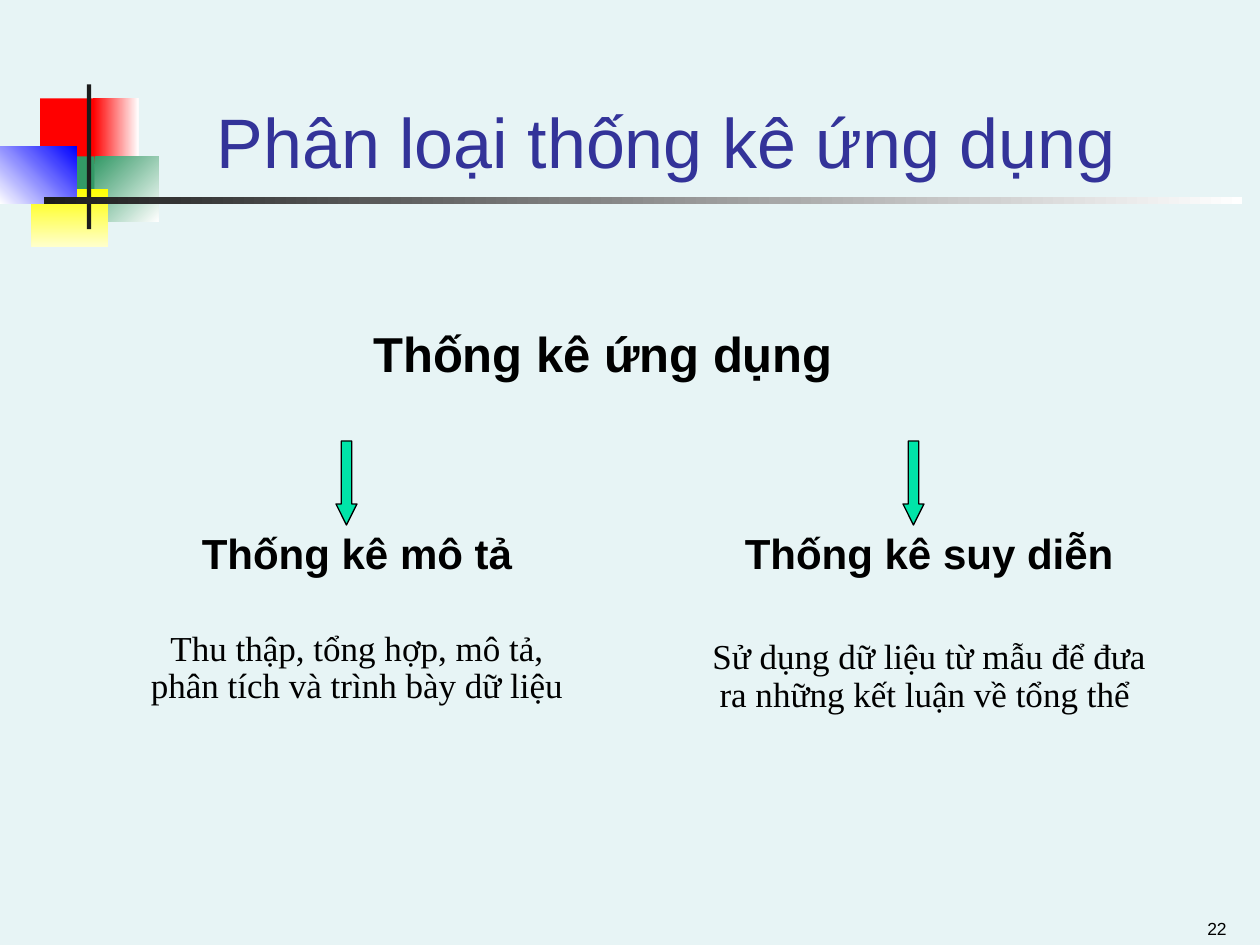
from dataclasses import dataclass
from pptx import Presentation
from pptx.dml.color import RGBColor
from pptx.enum.shapes import MSO_SHAPE
from pptx.enum.text import MSO_ANCHOR, PP_ALIGN
from pptx.slide import Slide
from pptx.util import Pt


def color(hex_value):
    return RGBColor.from_string(hex_value)


def assign(target, values):
    for name, value in values.items():
        setattr(target, name, value)


@dataclass
class SlideBuilder:
    slide: Slide
    sans: str = "Arial"
    serif: str = "Times New Roman"
    ink: str = "000000"
    accent: str = "333399"
    arrow_fill: str = "00E4A8"

    def background(self, shade):
        fill = self.slide.background.fill
        fill.solid()
        fill.fore_color.rgb = color(shade)

    def shape(self, preset, box):
        shape = self.slide.shapes.add_shape(preset, *map(Pt, box))
        shape.shadow.inherit = False
        return shape

    def block(self, box, shades, angle=0):
        block = self.shape(MSO_SHAPE.RECTANGLE, box)
        block.line.fill.background()
        if len(shades) == 1:
            block.fill.solid()
            block.fill.fore_color.rgb = color(shades[0])
            return
        block.fill.gradient()
        block.fill.gradient_angle = -angle % 360
        for stop, shade in zip(block.fill.gradient_stops, shades):
            stop.color.rgb = color(shade)

    def arrow(self, left):
        arrow = self.shape(MSO_SHAPE.DOWN_ARROW, (left, 252, 12, 48))
        arrow.adjustments[0], arrow.adjustments[1] = 0.5, 1
        arrow.fill.solid()
        arrow.fill.fore_color.rgb = color(self.arrow_fill)
        arrow.line.color.rgb = color(self.ink)
        arrow.line.width = Pt(0.75)

    def text(self, box, lines, anchor=MSO_ANCHOR.TOP, shade=None, **layout):
        frame = self.slide.shapes.add_textbox(*map(Pt, box)).text_frame
        assign(frame, {"word_wrap": True, "vertical_anchor": anchor})
        for index, (wording, font, gap) in enumerate(lines):
            paragraph = frame.add_paragraph() if index else frame.paragraphs[0]
            assign(paragraph, {"alignment": PP_ALIGN.CENTER, **layout})
            if gap:
                paragraph.space_before = Pt(gap)
            run = paragraph.add_run()
            run.text = wording
            assign(run.font, font)
            run.font.color.rgb = color(shade or self.ink)

    def branch(self, box, heading, description, gap):
        heading_font = {"name": self.sans, "size": Pt(24), "bold": True}
        description_font = {"name": self.serif, "size": Pt(20)}
        lines = [(heading, heading_font, 0), (description, description_font, gap)]
        self.text(box, lines, line_spacing=0.9)


def main():
    deck = Presentation()
    assign(deck, {"slide_width": Pt(720), "slide_height": Pt(540)})
    page = SlideBuilder(deck.slides.add_slide(deck.slide_layouts[6]))
    page.background("E7F4F5")

    emblem = [
        ((23, 56.2, 34.6, 37.4), ["FF0000"], 0),
        ((53.3, 56.2, 25.9, 37.4), ["FF0000", "FFFFFF"], 0),
        ((54, 89.3, 36.7, 37.4), ["339966", "FFFFFF"], 45),
        ((31, 89.3, 23, 37.4), ["339966"], 0),
        ((18, 108, 44, 33.1), ["FFFF00", "FFFFCC"], 90),
        ((0, 83.5, 44, 33.1), ["FFFFFF", "0000FF"], 315),
        ((49.7, 48.2, 2.4, 82.8), ["1C1C1C"], 0),
        ((25.2, 112.4, 684.7, 4.3), ["1C1C1C", "FFFFFF"], 0),
    ]
    for box, shades, angle in emblem:
        page.block(box, shades, angle)

    title_font = {"name": page.sans, "size": Pt(40)}
    page.text((90, 30.2, 581, 77.8), [("Phân loại thống kê ứng dụng", title_font, 0)],
              MSO_ANCHOR.BOTTOM, page.accent)
    root_font = {"name": page.sans, "size": Pt(28), "bold": True}
    page.text((48, 185, 601, 40), [("Thống kê ứng dụng ", root_font, 0)], line_spacing=0.9)
    number_font = {"name": page.sans, "size": Pt(10)}
    page.text((540, 514.8, 168, 25.2), [("22", number_font, 0)],
              MSO_ANCHOR.BOTTOM, alignment=PP_ALIGN.RIGHT)

    page.branch((72, 301, 264, 139), "Thống kê mô tả",
                "Thu thập, tổng hợp, mô tả, phân tích và trình bày dữ liệu", 30)
    page.branch((390, 301, 282, 114), "Thống kê suy diễn",
                "Sử dụng dữ liệu từ mẫu để đưa ra những kết luận về tổng thể ", 35)
    for left in (192, 516):
        page.arrow(left)

    deck.save("out.pptx")


if __name__ == "__main__":
    main()
